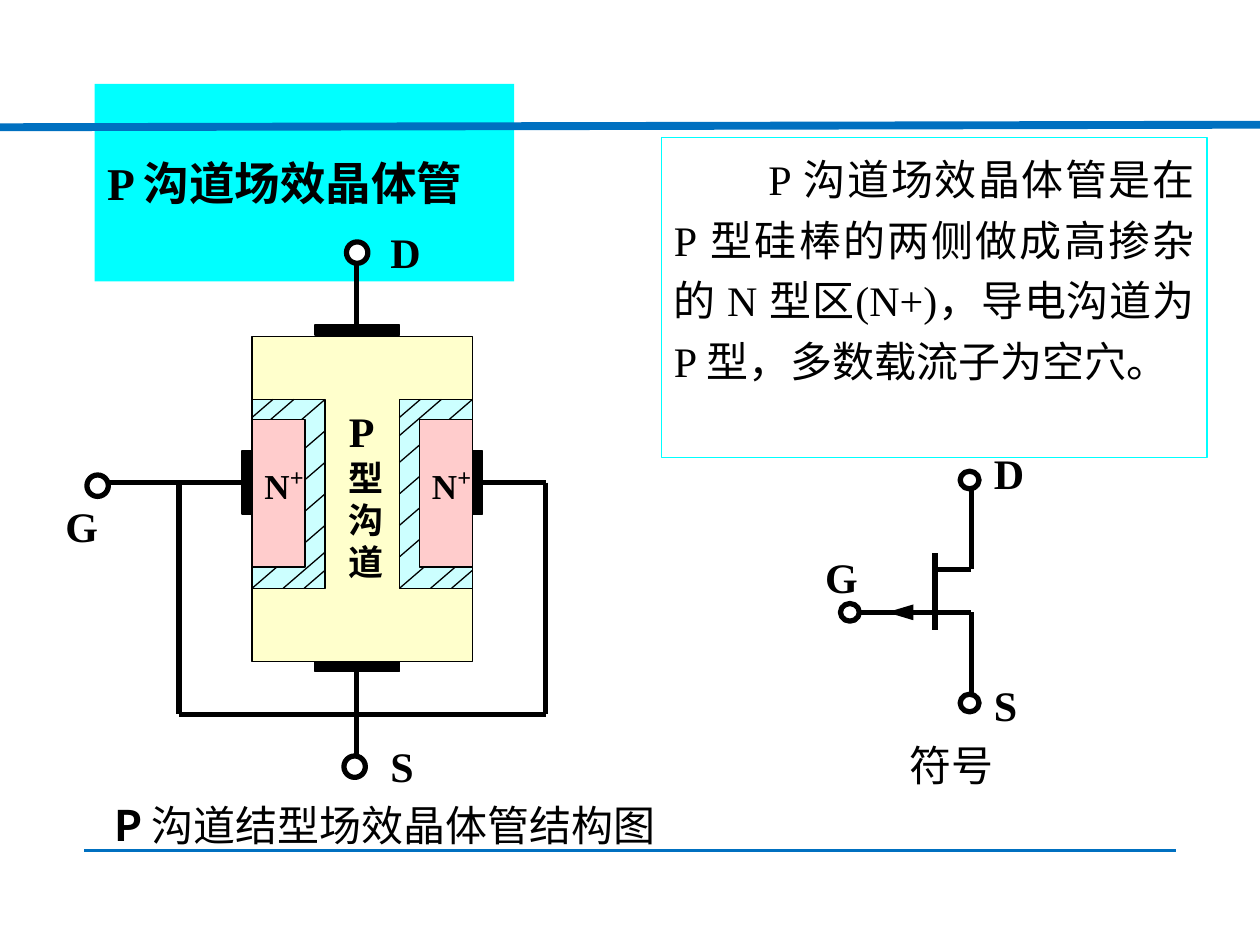
from lxml import etree
from pptx import Presentation
from pptx.dml.color import RGBColor
from pptx.enum.shapes import MSO_CONNECTOR, MSO_SHAPE
from pptx.enum.text import MSO_ANCHOR, MSO_AUTO_SIZE, PP_ALIGN
from pptx.oxml.ns import qn
from pptx.util import Inches, Pt

RECT, OVAL = MSO_SHAPE.RECTANGLE, MSO_SHAPE.OVAL
STRAIGHT = MSO_CONNECTOR.STRAIGHT
TOP, MIDDLE = MSO_ANCHOR.TOP, MSO_ANCHOR.MIDDLE
GROW = MSO_AUTO_SIZE.SHAPE_TO_FIT_TEXT
LEFT, JUSTIFY = PP_ALIGN.LEFT, PP_ALIGN.JUSTIFY

THEME = {
    "latin": "Times New Roman", "cjk": "Noto Sans CJK SC",
    "ink": "000000", "paper": "FFFFFF", "rule": "0070C0", "accent": "00FFFF",
    "channel": "FFFFCC", "depletion": "CCFFFF", "region": "FFCCCC",
    "title": 26, "text": 24, "small": 20, "wire": 3, "thin": 0.75,
}

# A run is (text, size, format values)
BOLD = {"bold": True}
TITLE = [("P 沟道场效晶体管", "title", BOLD)]
BODY = [("P 沟道场效晶体管是在 P 型硅棒的两侧做成高掺杂的 N 型区(N+)，"
         "导电沟道为 P 型，多数载流子为空穴。", "text", {})]
CAPTION = [("P ", "text", {"bold": True, "name": THEME["cjk"]}),
           ("沟道结型场效晶体管结构图", "text", {})]
SYMBOL = [("符号", "text", {})]
CHANNEL = [("P", "text", BOLD), ("型沟道", "small", BOLD)]
REGION = [("N", "small", BOLD), ("+", "text", BOLD)]

RULES = [((0.67, 6.75, 9.33, 6.75), 1.5), ((0, 1.01, 10, 0.99), 4.5)]

# Structure: wires are x1, y1, x2, y2; boxes are left, top, width, height
BACK_WIRES = [(2.83, 2.08, 2.83, 6), (0.83, 3.83, 4.33, 3.83)]
LOOP_WIRES = [(1.42, 5.67, 4.33, 5.67), (4.33, 3.83, 4.33, 5.67),
              (1.42, 3.83, 1.42, 5.67)]
BAR = (2, 2.67, 1.75, 2.58)
PLATES = [(2.5, 2.58, 0.67, 0.08), (2.5, 5.25, 0.67, 0.08),
          (1.92, 3.58, 0.08, 0.5), (3.75, 3.58, 0.08, 0.5)]
SIDES = [(2, 2), (3.17, 3.33)]  # left of depletion layer, left of N region
LAYER = (3.17, 0.58, 1.5)       # top, width, height
CORE = (3.33, 0.42, 1.17)
HATCH_DROP, HATCH_STEP = 0.5, 0.25
CORNERS = (1 / 3, 1 / 6)        # run of the short hatch lines
PINS = [(2.73, 6), (0.69, 3.77), (2.75, 1.92)]
PIN_LABELS = [("G", 0.42, 3.92), ("S", 3, 5.83), ("D", 3, 1.75)]

# Circuit symbol
ARROW = (7.04, 4.86, 7.34, 4.86)
SYMBOL_WIRES = [(7.42, 4.39, 7.42, 5), (7.42, 4.52, 7.71, 4.52),
                (7.71, 3.84, 7.71, 4.52), (7.71, 4.86, 7.71, 5.54),
                (6.82, 4.86, 7.71, 4.86)]
SYMBOL_PINS = [(7.62, 5.51), (6.67, 4.79), (7.62, 3.74)]
SYMBOL_LABELS = [("G", 6.45, 4.33), ("D", 7.79, 3.5), ("S", 7.79, 5.34)]


def color(name):
    return RGBColor.from_string(THEME[name])


def place(dims):
    return [Inches(n) for n in dims]


def wire(host, ends, width=THEME["wire"], tint="ink"):
    line = host.add_connector(STRAIGHT, *place(ends))
    line.line.color.rgb = color(tint)
    line.line.width = Pt(width)
    etree.SubElement(line._element.spPr, qn("a:effectLst"))
    return line


def block(host, kind, dims, fill=None, edge="ink", width=THEME["thin"]):
    shape = host.add_shape(kind, *place(dims))
    shape.shadow.inherit = False
    if fill:
        shape.fill.solid()
        shape.fill.fore_color.rgb = color(fill)
    else:
        shape.fill.background()
    shape.line.color.rgb = color(edge)
    shape.line.width = Pt(width)
    return shape


def write(shape, runs, anchor=TOP, **layout):
    frame = shape.text_frame
    values = {"word_wrap": True, "auto_size": GROW, "vertical_anchor": anchor,
              "margin_left": Inches(0.1), "margin_right": Inches(0.1),
              "margin_top": Inches(0.05), "margin_bottom": Inches(0.05)}
    for key, value in values.items():
        setattr(frame, key, value)
    para = frame.paragraphs[0]
    for key, value in ({"alignment": LEFT, "space_before": Pt(0)} | layout).items():
        setattr(para, key, value)
    for text, size, style in runs:
        run = para.add_run()
        run.text = text
        look = {"name": THEME["latin"], "size": Pt(THEME[size]), "bold": False}
        for key, value in (look | style).items():
            setattr(run.font, key, value)
        run.font.color.rgb = color("ink")
        east = etree.Element(qn("a:ea"), typeface=THEME["cjk"])
        run.font._element.find(qn("a:latin")).addnext(east)
    return para


def note(host, dims, runs):
    return write(host.add_textbox(*place(dims)), runs)


def terminals(host, pins, width, height, labels):
    for left, top in pins:
        block(host, OVAL, (left, top, width, height), "paper", width=THEME["wire"])
    for text, left, top in labels:
        note(host, (left, top, 0.6, 0.5), [(text, "text", BOLD)])


def hatch(host, left):
    """Draw parallel slanted lines clipped to one depletion layer."""
    top, width, height = LAYER
    right, foot = left + width, top + height
    slope = HATCH_DROP / width
    count = round((height - HATCH_DROP) / HATCH_STEP) + 1
    for i in range(count):
        y = top + i * HATCH_STEP
        wire(host, (right, y, left, y + HATCH_DROP), THEME["thin"])
    for run in CORNERS:
        drop = run * slope
        wire(host, (left + run, top, left, top + drop), THEME["thin"])
        wire(host, (right, foot - drop, right - run, foot), THEME["thin"])


def structure(host):
    for ends in BACK_WIRES:
        wire(host, ends)
    block(host, RECT, BAR, "channel")
    for layer, core in SIDES:
        block(host, RECT, (layer, *LAYER), "depletion")
        hatch(host, layer)
        block(host, RECT, (core, *CORE), "region")
    for dims in PLATES:
        block(host, RECT, dims, "ink")
    for ends in LOOP_WIRES:
        wire(host, ends)
    for _, core in SIDES:
        para = note(host, (core, 3.58, 0.75, 0.5), REGION)
        para.runs[-1].font._element.set("baseline", "30000")
    note(host, (2.67, 3.17, 0.58, 1.5), CHANNEL)
    terminals(host, PINS, 0.17, 0.17, PIN_LABELS)


def symbol(host):
    note(host, (7.12, 5.82, 1.12, 0.5), SYMBOL)
    arrow = wire(host, ARROW)
    etree.SubElement(arrow.line._get_or_add_ln(), qn("a:headEnd"),
                     type="triangle", w="med", len="lg")
    for ends in SYMBOL_WIRES:
        wire(host, ends)
    terminals(host, SYMBOL_PINS, 0.15, 0.14, SYMBOL_LABELS)


def main():
    deck = Presentation()
    deck.slide_width, deck.slide_height = Inches(10), Inches(7.5)
    slide = deck.slides.add_slide(deck.slide_layouts[5])
    shapes = slide.shapes
    for ends, width in RULES:
        wire(shapes, ends, width, "rule")

    title = shapes.title
    title.left, title.top, title.width, title.height = place((0.75, 1.18, 3.33, 0.54))
    title.fill.solid()
    title.fill.fore_color.rgb = color("accent")
    write(title, TITLE, MIDDLE)

    note(shapes, (0.81, 6.3, 4.7, 0.5), CAPTION)
    structure(shapes.add_group_shape().shapes)
    body = block(shapes, RECT, (5.25, 1.09, 4.33, 2.54), edge="accent")
    para = write(body, BODY, alignment=JUSTIFY, line_spacing=1.2)
    para._p.get_or_add_pPr().set("indent", str(Inches(0.75)))
    symbol(shapes.add_group_shape().shapes)
    deck.save("out.pptx")


if __name__ == "__main__":
    main()
